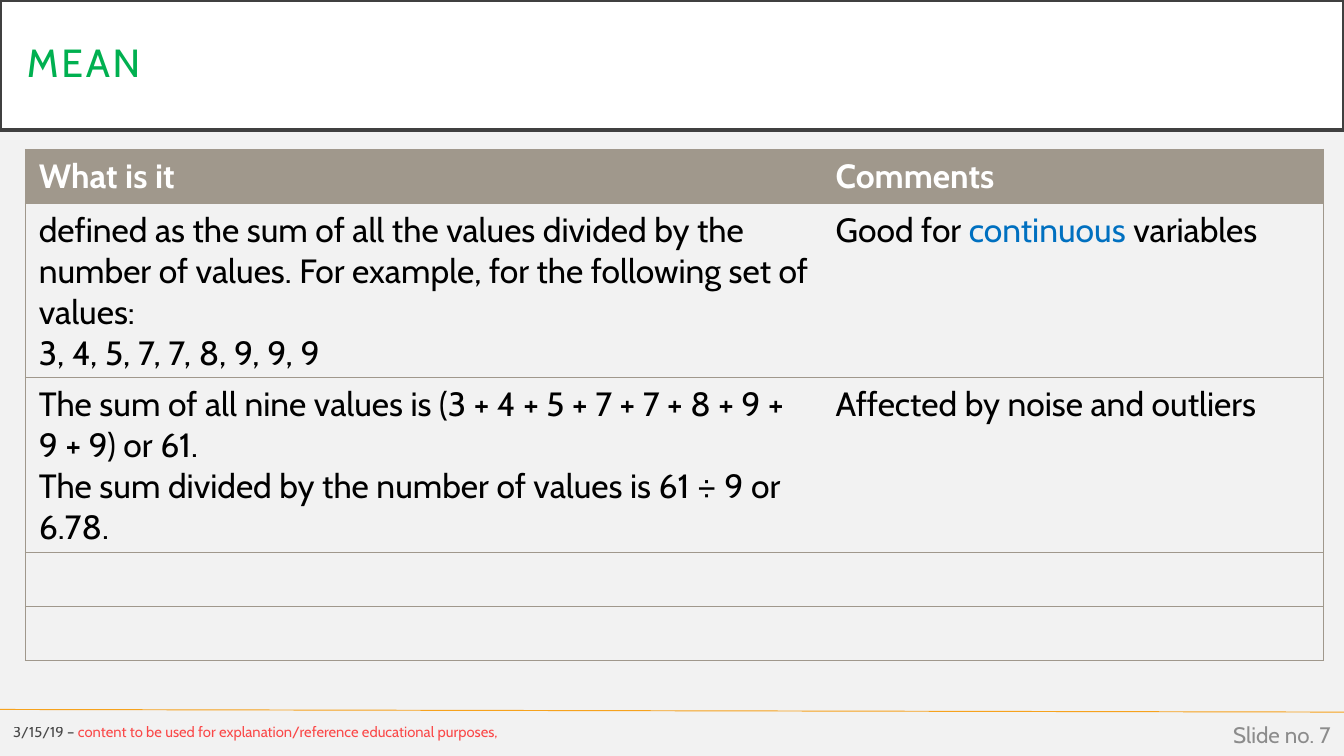
"""Build a slide that explains the mean with a two-column table."""
from typing import NamedTuple

from lxml.etree import SubElement
from pptx import Presentation
from pptx.dml.color import RGBColor
from pptx.enum.shapes import MSO_CONNECTOR
from pptx.enum.text import MSO_ANCHOR as Anchor, MSO_AUTO_SIZE as AutoSize, PP_ALIGN as Align
from pptx.oxml.ns import qn
from pptx.util import Cm, Pt

FONT = "Cabin"
TAUPE = "A0988C"
BLACK = "000000"


class Run(NamedTuple):
    text: str
    color: str = BLACK
    size: float = 18
    bold: bool = False
    alpha: int = 100
    spacing: float = 0


class Box(NamedTuple):
    left: float
    top: float
    width: float
    height: float


Cell = list[list[Run]]


def rgb(color: str) -> RGBColor:
    return RGBColor.from_string(color)


def write(tf, paragraphs: Cell, align=Align.LEFT) -> None:
    for i, runs in enumerate(paragraphs):
        p = tf.add_paragraph() if i else tf.paragraphs[0]
        p.alignment = align
        for run in runs:
            r = p.add_run()
            r.text = run.text
            formats = {"name": FONT, "size": Pt(run.size), "bold": run.bold}
            for name, value in formats.items():
                setattr(r.font, name, value)
            r.font.color.rgb = rgb(run.color)
            if run.alpha < 100:
                clr = r._r.rPr.find(".//" + qn("a:srgbClr"))
                SubElement(clr, qn("a:alpha"), val=str(run.alpha * 1000))
            if run.spacing:
                r._r.rPr.set("spc", str(int(run.spacing * 100)))


def add_text(s, box: Box, runs: list[Run], align=Align.LEFT) -> None:
    tf = s.shapes.add_textbox(*map(Cm, box)).text_frame
    tf.word_wrap = True
    tf.vertical_anchor = Anchor.MIDDLE
    write(tf, [runs], align)


def set_borders(cell, hidden: str) -> None:
    tc_pr = cell._tc.get_or_add_tcPr()
    for i, side in enumerate("LRTB"):
        ln = SubElement(tc_pr, qn(f"a:ln{side}"), w=str(Pt(0.5)))
        if side == hidden:
            SubElement(ln, qn("a:noFill"))
        else:
            fill = SubElement(ln, qn("a:solidFill"))
            SubElement(fill, qn("a:srgbClr"), val=TAUPE)
        tc_pr.insert(i, ln)


def add_table(s, box: Box, widths: list[float], rows: list[list[Cell]]) -> None:
    table = s.shapes.add_table(len(rows), len(widths), *map(Cm, box)).table
    table.horz_banding = False
    for column, width in zip(table.columns, widths):
        column.width = Cm(width)
    for i, row in enumerate(rows):
        for j, paragraphs in enumerate(row):
            cell = table.cell(i, j)
            if i:
                cell.fill.background()
            else:
                cell.fill.solid()
                cell.fill.fore_color.rgb = rgb(TAUPE)
            set_borders(cell, "L" if j else "R")
            write(cell.text_frame, paragraphs)


def add_title(s, box: Box, run: Run) -> None:
    sp = s.shapes.title
    for name, value in zip(Box._fields, box):
        setattr(sp, name, Cm(value))
    sp.fill.solid()
    sp.fill.fore_color.rgb = rgb("FFFFFF")
    sp.line.color.rgb = rgb("404040")
    sp.line.width = Pt(2.5)
    tf = sp.text_frame
    formats = {"auto_size": AutoSize.NONE, "vertical_anchor": Anchor.MIDDLE, "word_wrap": True}
    formats |= {f"margin_{side}": Cm(0.51) for side in ("left", "right", "top", "bottom")}
    for name, value in formats.items():
        setattr(tf, name, value)
    write(tf, [[run]])
    tf.paragraphs[0].line_spacing = 0.9


def add_footer_line(s) -> None:
    line = s.shapes.add_connector(MSO_CONNECTOR.STRAIGHT, 0, Cm(13.41), Cm(25.4), Cm(13.46))
    line.line.color.rgb = rgb("F6A21D")
    line.line.width = Pt(0.5)
    SubElement(line._element.spPr, qn("a:effectLst"))


def main() -> None:
    prs = Presentation()
    prs.slide_width, prs.slide_height = Cm(25.4), Cm(14.29)
    s = prs.slides.add_slide(prs.slide_layouts[5])
    s.background.fill.solid()
    s.background.fill.fore_color.rgb = rgb("F2F2F2")

    add_footer_line(s)
    add_title(s, Box(0, 0, 25.4, 2.46), Run("MEAN", "00B050", 21, spacing=1.5))
    add_text(s, Box(19.68, 13.51, 5.72, 0.76), [Run("Slide no. 7", "8C8C8C", 12)], Align.RIGHT)
    add_text(s, Box(0, 13.49, 10.77, 0.69), [
        Run("3/15/19 – ", size=7.9, alpha=70),
        Run("content to be used for explanation/reference educational purposes,",
            "FF0000", 7.9, alpha=70),
    ])
    rows = [
        [[[Run(text, "FFFFFF", bold=True)]] for text in ("What is it", "Comments")],
        [
            [[Run("defined as the sum of all the values divided by the number of values. "
                  "For example, for the following set of values:")],
             [Run("3, 4, 5, 7, 7, 8, 9, 9, 9")]],
            [[Run("Good for "), Run("continuous", "0070C0"), Run(" variables")]],
        ],
        [
            [[Run("The sum of all nine values is (3 + 4 + 5 + 7 + 7 + 8 + 9 + 9 + 9) or 61.")],
             [Run("The sum divided by the number of values is 61 ÷ 9 or 6.78.")]],
            [[Run("Affected by noise and outliers")]],
        ],
        [[], []],
        [[], []],
    ]
    add_table(s, Box(0.48, 2.82, 24.53, 2.92), [15.06, 9.47], rows)
    prs.save("out.pptx")


if __name__ == "__main__":
    main()
